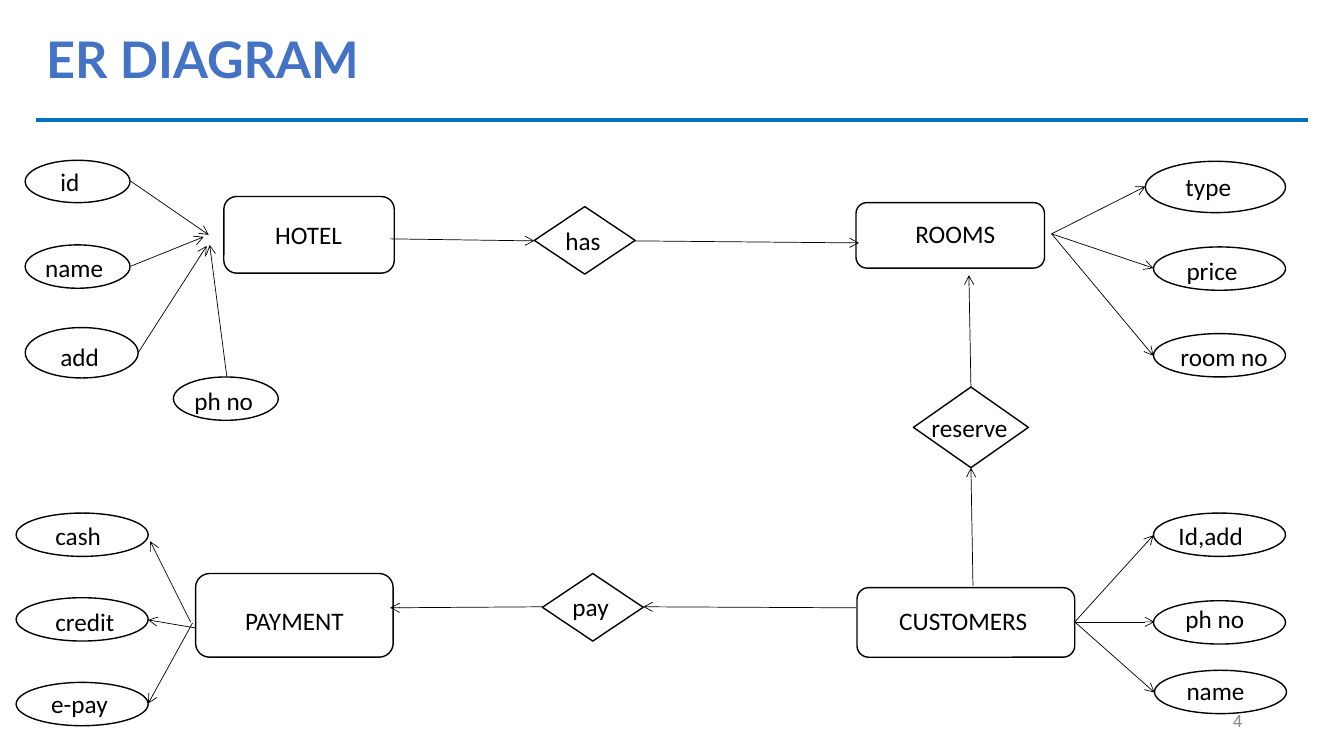
from dataclasses import dataclass

from lxml import etree
from pptx import Presentation
from pptx.dml.color import RGBColor
from pptx.enum.shapes import MSO_CONNECTOR, MSO_SHAPE
from pptx.enum.text import MSO_ANCHOR, PP_ALIGN
from pptx.oxml.ns import qn
from pptx.util import Emu, Pt

STRAIGHT = MSO_CONNECTOR.STRAIGHT
ENTITY = MSO_SHAPE.ROUNDED_RECTANGLE
RELATION = MSO_SHAPE.FLOWCHART_DECISION
ATTRIBUTE = MSO_SHAPE.OVAL
TOP, MIDDLE = MSO_ANCHOR.TOP, MSO_ANCHOR.MIDDLE
LEFT, CENTER, RIGHT = PP_ALIGN.LEFT, PP_ALIGN.CENTER, PP_ALIGN.RIGHT
EMU_PER_PX = 9144
LABEL_HEIGHT = 40


@dataclass(frozen=True)
class Theme:
    title_font: str = "Lato"
    label_font: str = "Calibri"
    number_font: str = "Roboto"
    title_size: int = 36
    label_size: int = 18
    number_size: int = 12
    title_color: str = "4472C4"
    rule_color: str = "0070C0"
    number_color: str = "8C8C8C"
    ink: str = "000000"
    paper: str = "FFFFFF"
    rule_width: float = 3
    outline_width: float = 1
    arrow_width: float = 0.5


def px(length):
    return Emu(length * EMU_PER_PX)


class DiagramSlide:
    """Draws the parts of an entity-relationship diagram on one slide."""

    def __init__(self, slide, theme):
        self.shapes = slide.shapes
        self.theme = theme

    def text(self, box, words, font, size, color, align=LEFT, anchor=TOP, bold=False):
        shape = self.shapes.add_textbox(*map(px, box))
        frame = shape.text_frame
        frame.word_wrap = True
        frame.vertical_anchor = anchor
        paragraph = frame.paragraphs[0]
        paragraph.text = words
        paragraph.alignment = align
        paragraph.font.name = font
        paragraph.font.size = Pt(size)
        paragraph.font.bold = bold
        paragraph.font.color.rgb = RGBColor.from_string(color)

    def title(self, box, words):
        theme = self.theme
        self.text(box, words, theme.title_font, theme.title_size, theme.title_color,
                  anchor=MIDDLE, bold=True)

    def number(self, box, words):
        theme = self.theme
        self.text(box, words, theme.number_font, theme.number_size,
                  theme.number_color, RIGHT, MIDDLE)

    def node(self, kind, box, label, label_left, label_top, label_width, align=LEFT):
        theme = self.theme
        shape = self.shapes.add_shape(kind, *map(px, box))
        shape.shadow.inherit = False
        shape.fill.solid()
        shape.fill.fore_color.rgb = RGBColor.from_string(theme.paper)
        shape.line.color.rgb = RGBColor.from_string(theme.ink)
        shape.line.width = Pt(theme.outline_width)
        self.text((label_left, label_top, label_width, LABEL_HEIGHT), label,
                  theme.label_font, theme.label_size, theme.ink, align)

    def line(self, ends, color, width):
        connector = self.shapes.add_connector(STRAIGHT, *map(px, ends))
        connector.line.color.rgb = RGBColor.from_string(color)
        connector.line.width = Pt(width)
        etree.SubElement(connector._element.spPr, qn("a:effectLst"))
        return connector

    def rule(self, *ends):
        self.line(ends, self.theme.rule_color, self.theme.rule_width)

    def arrow(self, *ends):
        connector = self.line(ends, self.theme.ink, self.theme.arrow_width)
        etree.SubElement(connector.line._get_or_add_ln(), qn("a:tailEnd"), type="arrow")


NODES = {
    ENTITY: [
        ((222, 195, 169, 76), "HOTEL", 207, 213, 198, CENTER),
        ((849, 201, 187, 65), "ROOMS", 859, 212, 177, CENTER),
        ((850, 583, 216, 69), "CUSTOMERS", 882, 596, 197),
        ((194, 569, 196, 83), "PAYMENT", 202, 596, 180, CENTER),
    ],
    RELATION: [
        ((530, 205, 100, 67), "has", 551, 219, 58),
        ((906, 384, 114, 80), "reserve", 914, 404, 99),
        ((538, 569, 100, 67), "pay", 558, 582, 80),
    ],
    ATTRIBUTE: [
        ((25, 159, 104, 42), "id", 50, 160, 54),
        ((25, 243, 104, 43), "name", 35, 245, 93),
        ((25, 325, 112, 50), "add", 50, 334, 63),
        ((172, 374, 104, 43), "ph no", 183, 377, 83),
        ((1136, 160, 139, 51), "type", 1166, 165, 104),
        ((1144, 245, 131, 43), "price", 1167, 248, 84),
        ((1144, 331, 131, 43), "room no", 1161, 334, 115),
        ((1144, 509, 131, 43), "Id,add", 1159, 511, 93),
        ((1144, 596, 131, 43), "ph no", 1166, 594, 83),
        ((1145, 665, 131, 43), "name", 1167, 665, 93),
        ((16, 509, 131, 43), "cash", 45, 511, 83),
        ((16, 593, 131, 43), "credit", 45, 597, 92),
        ((16, 677, 131, 43), "e-pay", 41, 678, 81),
    ],
}

HOTEL_ARROWS = [
    (130, 180, 207, 233),
    (130, 264, 202, 235),
    (137, 350, 205, 244),
    (225, 374, 208, 243),
]
ROOMS_ARROWS = [(1043, 232, *tip) for tip in ((1136, 185), (1144, 266), (1144, 353))]
CUSTOMERS_ARROWS = [(1066, 617, *tip) for tip in ((1144, 531), (1145, 617), (1145, 687))]
PAYMENT_ARROWS = [
    (189, 617, 149, 537),
    (194, 623, 147, 615),
    (191, 618, 147, 698),
]
RELATION_ARROWS = [
    (387, 237, 530, 239),
    (630, 239, 852, 241),
    (963, 384, 961, 273),
    (965, 581, 963, 464),
    (849, 603, 638, 602),
    (538, 602, 387, 603),
]


def main():
    presentation = Presentation()
    presentation.slide_width = px(1333)
    presentation.slide_height = px(750)
    slide = presentation.slides.add_slide(presentation.slide_layouts[6])
    diagram = DiagramSlide(slide, Theme())

    diagram.title((36, 23, 1181, 69), "ER DIAGRAM")
    diagram.number((942, 695, 300, 40), "4")
    diagram.rule(36, 119, 1297, 119)
    for kind, nodes in NODES.items():
        for node in nodes:
            diagram.node(kind, *node)
    for ends in (HOTEL_ARROWS + ROOMS_ARROWS + CUSTOMERS_ARROWS
                 + PAYMENT_ARROWS + RELATION_ARROWS):
        diagram.arrow(*ends)
    presentation.save("out.pptx")


if __name__ == "__main__":
    main()
